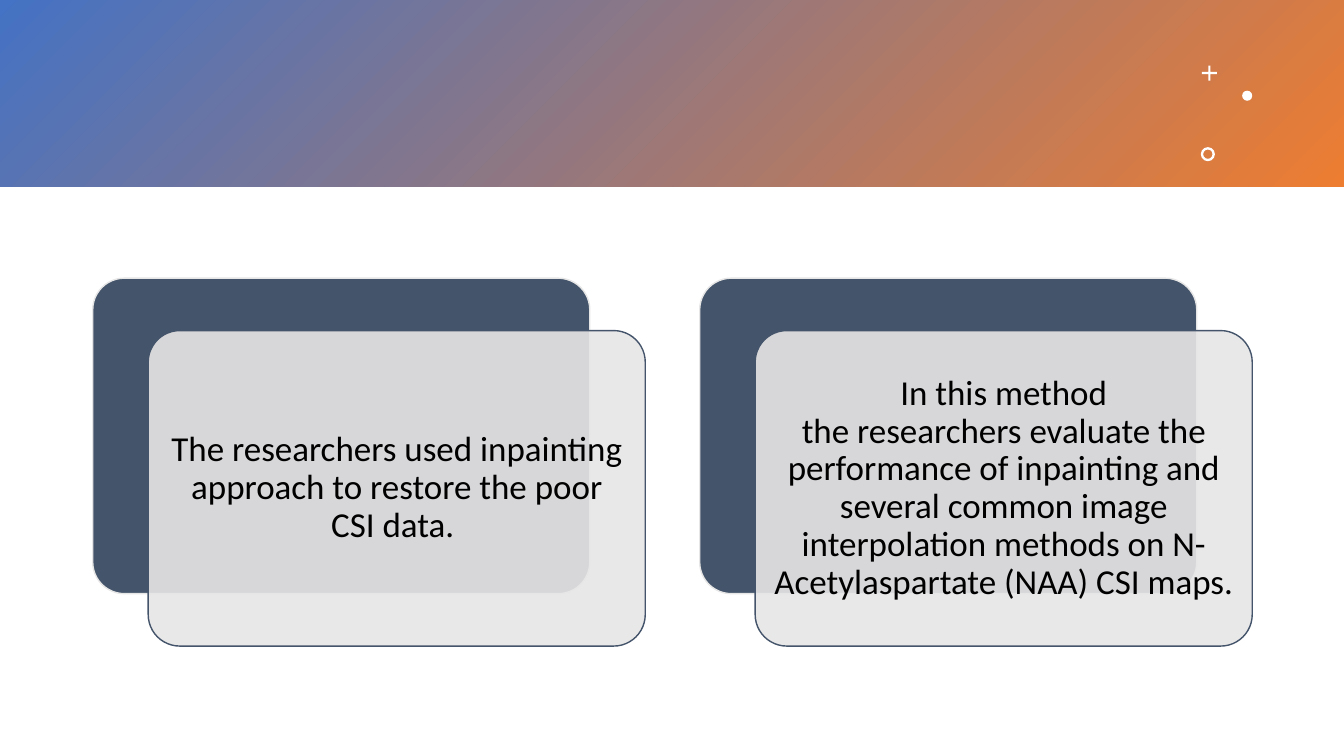
import pptx
import pptx.util
import pptx.dml.color
import pptx.enum.shapes
import pptx.enum.text
import pptx.oxml.ns
from lxml import etree
from dataclasses import dataclass

# "~" stands for a no-break space
NO_BREAK_SPACE = chr(160)
CARDS = [
    "The researchers used inpainting approach to restore the poor CSI data.~",
    "In this~method the~researchers~evaluate the performance of inpainting~and "
    "several common image interpolation methods on~N-Acetylaspartate "
    "(NAA) CSI~maps.",
]
SHAPES = pptx.enum.shapes.MSO_SHAPE
# kind, left, top, size, adjustment
ORNAMENTS = [
    (SHAPES.CROSS, 11.92, 0.65, 0.15, 0.43),
    (SHAPES.OVAL, 12.32, 0.9, 0.1, None),
    (SHAPES.DONUT, 11.91, 1.46, 0.14, 0.17),
]

SLIDE_W, SLIDE_H = 13.33, 7.5
BANNER_H = 1.85
GRID_LEFT, GRID_TOP, COLUMN = 0.92, 2.76, 6.02
CARD_W, CARD_H = 4.93, 3.13
OFFSET_X, OFFSET_Y = 0.55, 0.52


@dataclass(frozen=True)
class Theme:
    blue: str = "4472C4"
    orange: str = "ED7D31"
    slate: str = "44546A"
    pale: str = "E7E6E6"
    white: str = "FFFFFF"
    black: str = "000000"
    font: str = "Calibri"
    body: int = 25
    line: int = 1


THEME = Theme()


def rgb(color):
    return pptx.dml.color.RGBColor.from_string(color)


def add_shape(slide, kind, left, top, width, height, fill=None, line=None, adj=None):
    sp = slide.shapes.add_shape(
        kind, *(pptx.util.Inches(v) for v in (left, top, width, height)))
    sp.shadow.inherit = False
    if adj is not None:
        sp.adjustments[0] = adj
    if fill:
        sp.fill.solid()
        sp.fill.fore_color.rgb = rgb(fill)
    if line:
        sp.line.color.rgb = rgb(line)
        sp.line.width = pptx.util.Pt(THEME.line)
    else:
        sp.line.fill.background()
    return sp


def set_opacity(sp, percent):
    color = sp.fill._xPr.find(".//" + pptx.oxml.ns.qn("a:srgbClr"))
    etree.SubElement(color, pptx.oxml.ns.qn("a:alpha"), val=str(percent * 1000))


def add_banner(slide):
    banner = add_shape(slide, SHAPES.RECTANGLE, 0, 0, SLIDE_W, BANNER_H)
    banner.fill.gradient()
    # python-pptx counts angles counter-clockwise
    banner.fill.gradient_angle = 315
    for stop, color, position in zip(
            banner.fill.gradient_stops, (THEME.blue, THEME.orange), (0, 1)):
        stop.color.rgb = rgb(color)
        stop.position = position


def write_text(sp, text):
    tf = sp.text_frame
    tf.word_wrap = True
    tf.vertical_anchor = pptx.enum.text.MSO_ANCHOR.MIDDLE
    tf.margin_left = tf.margin_right = pptx.util.Inches(0.1)
    tf.margin_top = tf.margin_bottom = pptx.util.Inches(0.1)
    p = tf.paragraphs[0]
    p.alignment = pptx.enum.text.PP_ALIGN.CENTER
    p.line_spacing = 0.9
    r = p.add_run()
    r.text = text.replace("~", NO_BREAK_SPACE)
    r.font.name = THEME.font
    r.font.size = pptx.util.Pt(THEME.body)
    r.font.color.rgb = rgb(THEME.black)


def add_card(slide, column, text):
    """Add a dark back plate and an offset translucent front plate with text."""
    left = GRID_LEFT + column * COLUMN
    add_shape(slide, SHAPES.ROUNDED_RECTANGLE, left, GRID_TOP, CARD_W, CARD_H,
              THEME.slate, THEME.pale, 0.1)
    front = add_shape(slide, SHAPES.ROUNDED_RECTANGLE, left + OFFSET_X,
                      GRID_TOP + OFFSET_Y, CARD_W, CARD_H,
                      THEME.pale, THEME.slate, 0.1)
    set_opacity(front, 90)
    write_text(front, text)


def main():
    prs = pptx.Presentation()
    prs.slide_width = pptx.util.Inches(SLIDE_W)
    prs.slide_height = pptx.util.Inches(SLIDE_H)
    slide = prs.slides.add_slide(prs.slide_layouts[6])
    add_banner(slide)
    for kind, left, top, size, adj in ORNAMENTS:
        add_shape(slide, kind, left, top, size, size, THEME.white, adj=adj)
    for column, text in enumerate(CARDS):
        add_card(slide, column, text)
    prs.save("out.pptx")


if __name__ == "__main__":
    main()
